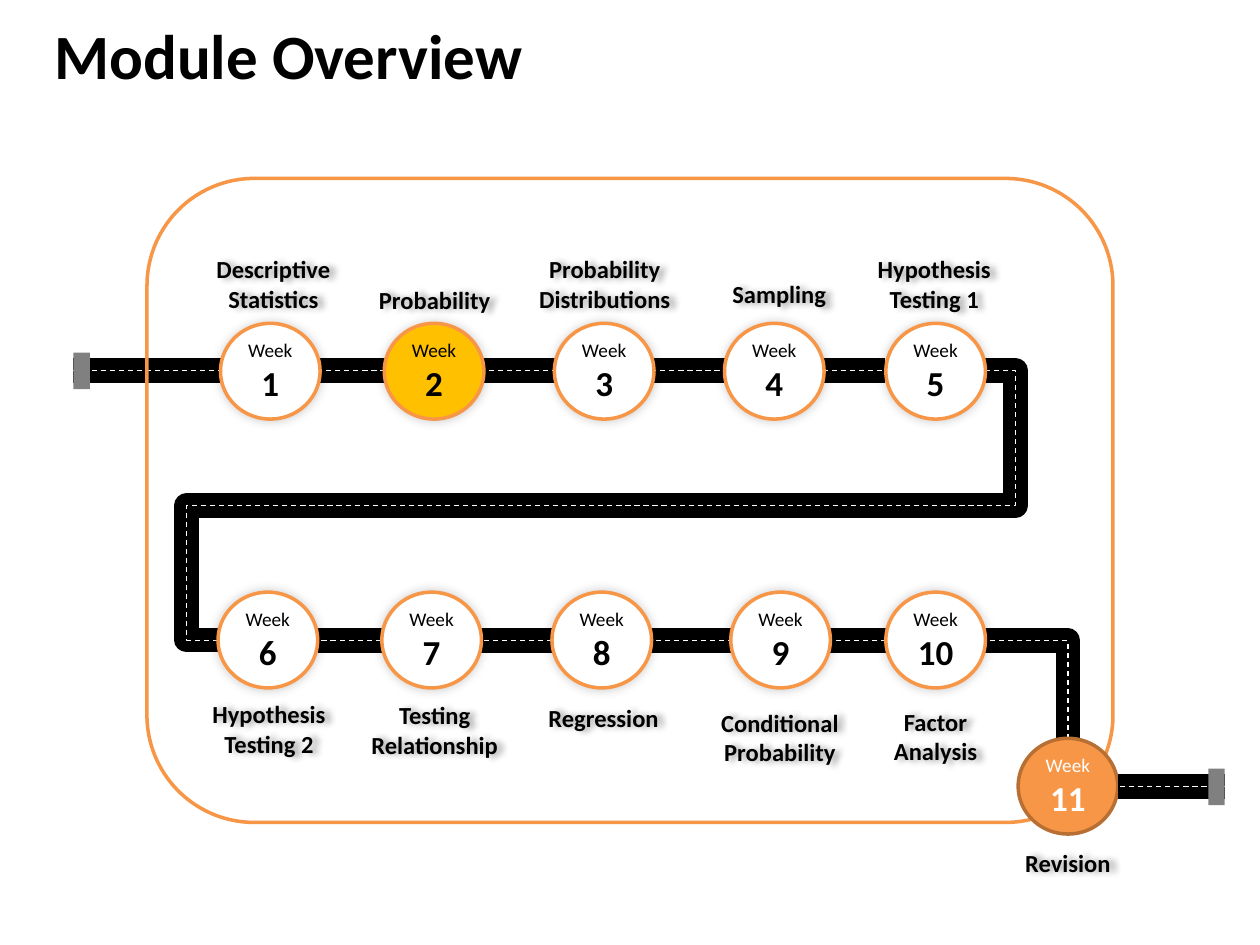
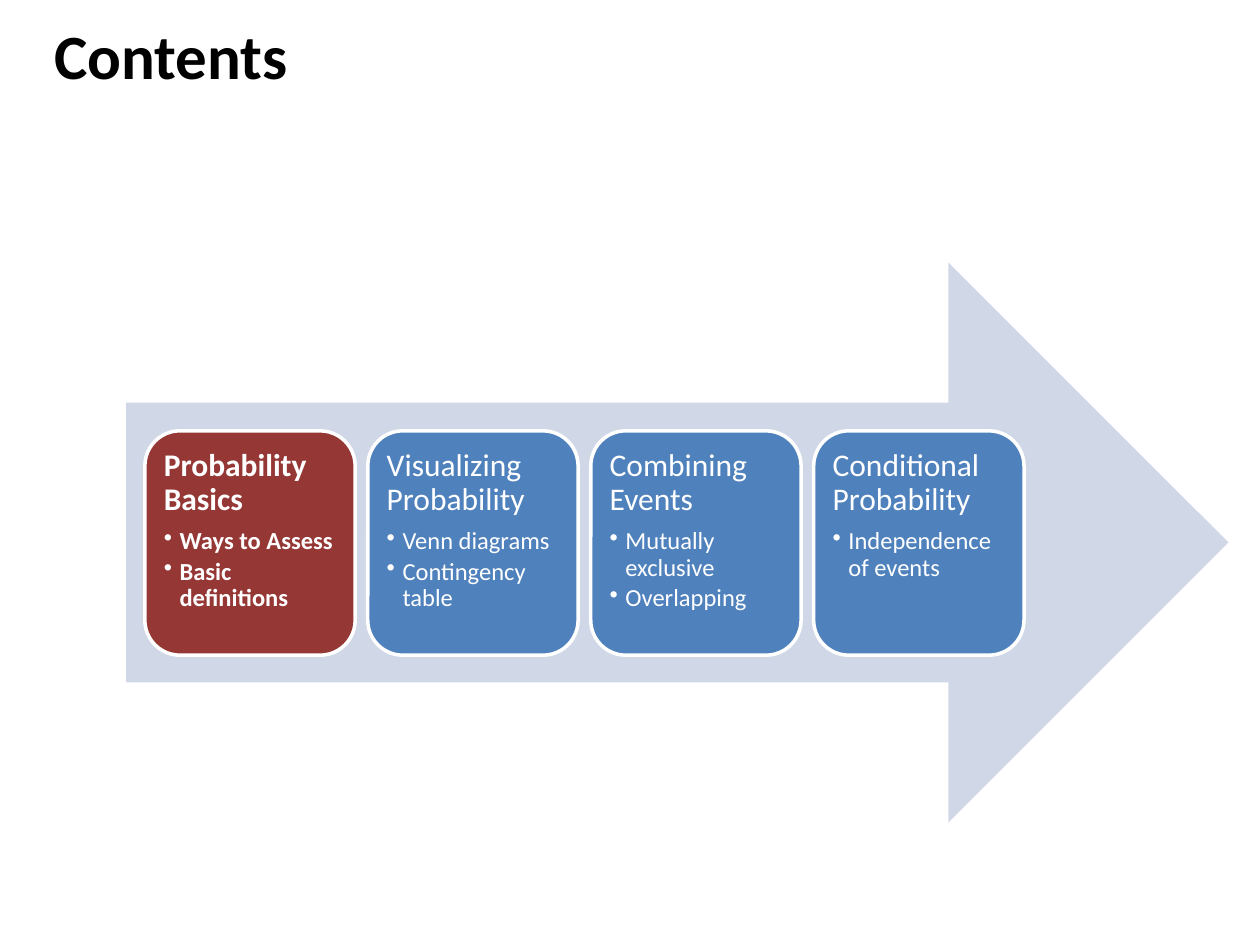
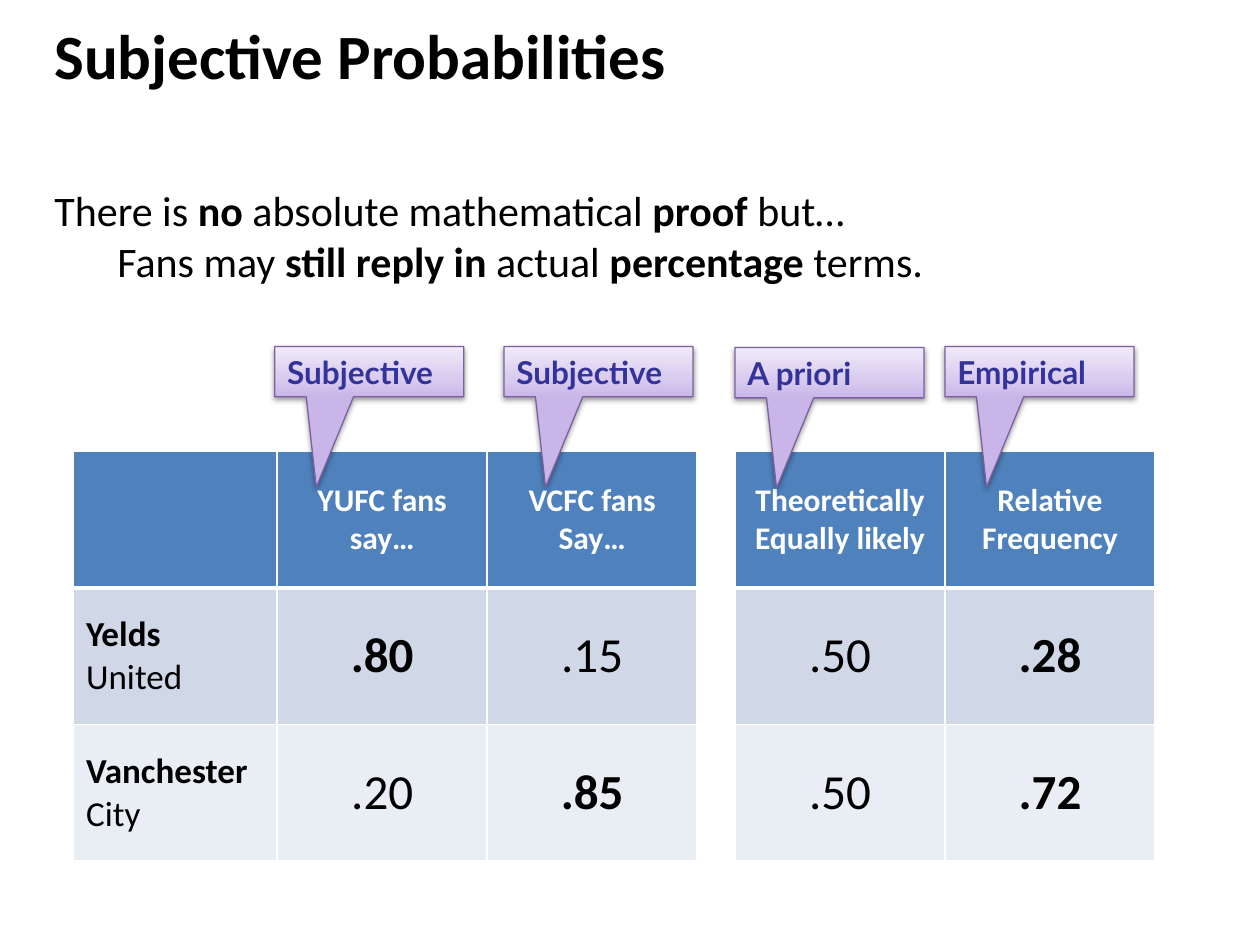
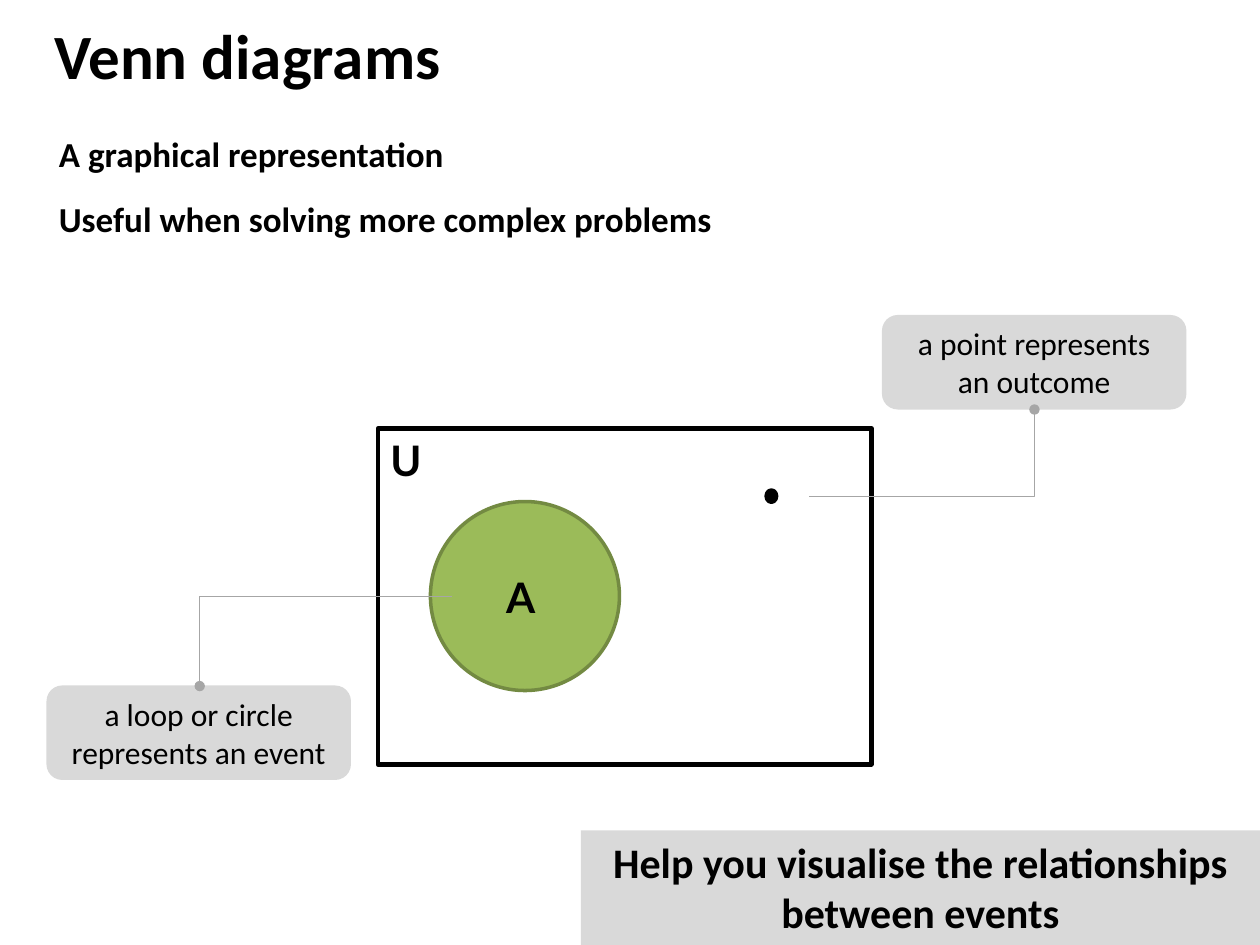
"""Build four slides of a statistics course on probability."""
from dataclasses import dataclass

from lxml import etree
from pptx import Presentation
from pptx import util as u
from pptx.dml.color import RGBColor
from pptx.enum import dml, shapes, text
from pptx.oxml.ns import qn

Kind = shapes.MSO_SHAPE
Align = text.PP_ALIGN
Anchor = text.MSO_ANCHOR


@dataclass(frozen=True)
class Theme:
    """Colours, fonts and type sizes shared by all slides."""
    black: str = "000000"
    white: str = "FFFFFF"
    orange: str = "F79646"
    orange_edge: str = "B76F34"
    current: str = "FFC000"
    road_end: str = "808080"
    blue: str = "4F81BD"
    pale_blue: str = "D0D8E8"
    paler_blue: str = "E9EDF4"
    red: str = "953735"
    green: str = "9BBB59"
    green_edge: str = "738A42"
    grey: str = "D9D9D9"
    leader: str = "A6A6A6"
    indigo: str = "333399"
    purple_edge: str = "7D60A0"
    purple_stops: tuple = ((0, "C9B5E8"), (35, "D8CBEE"), (100, "F0EAF9"))
    font: str = "Calibri"
    accent_font: str = "Lato"
    title: float = 36
    figure: float = 28
    lead: float = 24
    strong: float = 20
    body: float = 18
    small: float = 14
    tiny: float = 11


T = Theme()


@dataclass
class Para:
    """A paragraph whose content is a string or a list of (words, bold) pairs."""
    content: object
    size: float = T.body
    bold: bool = False
    color: str = T.black
    font: str = T.font
    align: object = Align.LEFT
    indent: float = 0
    bullet: bool = False
    line_spacing: float = None
    after: float = None


def rgb(color):
    """Turn a hex string into a colour."""
    return RGBColor.from_string(color)


def child(parent, tag, **attributes):
    """Append a DrawingML element."""
    values = {name: str(value) for name, value in attributes.items()}
    return etree.SubElement(parent, qn("a:" + tag), values)


def write(frame, paragraphs, anchor=Anchor.TOP, wrap=True, inset=None):
    """Fill a text frame paragraph by paragraph, run by run."""
    frame.word_wrap = wrap
    frame.vertical_anchor = anchor
    if inset is not None:
        frame.margin_left = frame.margin_right = u.Pt(inset)
        frame.margin_top = frame.margin_bottom = u.Pt(inset)
    for index, para in enumerate(paragraphs):
        line = frame.add_paragraph() if index else frame.paragraphs[0]
        line.alignment = para.align
        if para.line_spacing:
            line.line_spacing = para.line_spacing
        if para.after:
            line.space_after = u.Pt(para.after)
        if para.indent:
            props = line._p.get_or_add_pPr()
            props.set("marL", str(u.Pt(para.indent)))
            props.set("indent", str(u.Pt(-para.indent if para.bullet else 0)))
            if para.bullet:
                child(props, "buChar", char="•")
        content = para.content
        runs = [(content, para.bold)] if isinstance(content, str) else content
        for words, bold in runs:
            run = line.add_run()
            run.text = words
            run.font.name = para.font
            run.font.size = u.Pt(para.size)
            run.font.bold = bold
            run.font.color.rgb = rgb(para.color)


def textbox(slide, box, paragraphs, **options):
    """Add a text box."""
    holder = slide.shapes.add_textbox(*map(u.Pt, box))
    write(holder.text_frame, paragraphs, **options)
    return holder


def block(slide, kind, box, fill=None, edge=None, weight=2, paragraphs=(), **options):
    """Add a preset shape with optional fill, outline and text."""
    figure = slide.shapes.add_shape(kind, *map(u.Pt, box))
    figure.shadow.inherit = False
    if fill:
        figure.fill.solid()
        figure.fill.fore_color.rgb = rgb(fill)
    else:
        figure.fill.background()
    if edge:
        figure.line.color.rgb = rgb(edge)
        figure.line.width = u.Pt(weight)
    else:
        figure.line.fill.background()
    if paragraphs:
        write(figure.text_frame, paragraphs, **options)
    return figure


def cast_shadow(figure, alpha, blur, distance, angle):
    """Give a shape a soft black shadow."""
    figure.shadow.inherit = False
    effects = figure._element.spPr.find(qn("a:effectLst"))
    outer = child(effects, "outerShdw", blurRad=u.Pt(blur), dist=u.Pt(distance),
                  dir=angle * 60000, rotWithShape=0)
    child(child(outer, "srgbClr", val=T.black), "alpha", val=alpha * 1000)


def style_line(connector, color, weight, dashed=False):
    """Colour a connector and remove its shadow."""
    connector.line.color.rgb = rgb(color)
    connector.line.width = u.Pt(weight)
    if dashed:
        connector.line.dash_style = dml.MSO_LINE.DASH
    child(connector._element.spPr, "effectLst")


def straight(slide, start, end, color, weight, dashed=False):
    """Add a straight line."""
    connector = slide.shapes.add_connector(
        shapes.MSO_CONNECTOR.STRAIGHT, *map(u.Pt, (*start, *end)))
    style_line(connector, color, weight, dashed)


def bent(slide, bend, color, weight, dashed=False, oval_start=False):
    """Add an elbow line from a (box, rotation, flips, corners, adjustments) bend."""
    (left, top, width, height), rotation, flips, corners, adjustments = bend
    connector = slide.shapes.add_connector(
        shapes.MSO_CONNECTOR.ELBOW, *map(u.Pt, (left, top, left + width, top + height)))
    props = connector._element.spPr
    frame = props.find(qn("a:xfrm"))
    frame.set("rot", str(rotation * 60000))
    for flip in flips:
        frame.set("flip" + flip, "1")
    geometry = props.find(qn("a:prstGeom"))
    geometry.set("prst", f"bentConnector{corners + 1}")
    guides = geometry.find(qn("a:avLst"))
    if guides is None:
        guides = child(geometry, "avLst")
    for number, value in enumerate(adjustments, 1):
        child(guides, "gd", name=f"adj{number}", fmla=f"val {round(value * 100000)}")
    style_line(connector, color, weight, dashed)
    if oval_start:
        child(props.find(qn("a:ln")), "headEnd", type="oval")


def road(draw, slide, *course):
    """Draw a black road with a dashed centre line."""
    draw(slide, *course, T.black, 14)
    draw(slide, *course, T.white, 0.75, dashed=True)


def week(slide, number, left, top, fill=T.white, edge=T.orange, color=T.black):
    """Add the circle of one week."""
    lines = [Para("Week", T.tiny, color=color, align=Align.CENTER),
             Para(str(number), T.strong, True, color, align=Align.CENTER)]
    return block(slide, Kind.OVAL, (left, top, 56.9, 54.7), fill, edge,
                 paragraphs=lines, anchor=Anchor.MIDDLE)


def topic(slide, words, center, top, width):
    """Add the shaded topic label of one week."""
    lines = [Para(line, T.small, True, align=Align.CENTER) for line in words]
    height = 7.5 + 17 * len(lines)
    label = textbox(slide, (center - width / 2, top, width, height), lines, wrap=False)
    cast_shadow(label, 40, 4, 3, 0)


def card(slide, left, heading, points, current):
    """Add one content card with its heading and bullets."""
    top, width, height, pad = 246.2, 120.2, 128.2, 5.8
    block(slide, Kind.ROUNDED_RECTANGLE, (left, top, width, height),
          T.red if current else T.blue, T.white)
    shared = {"bold": current, "color": T.white, "line_spacing": 0.9}
    lines = [Para(heading, T.body, after=6.3, **shared)]
    lines += [Para(point, T.small, indent=9, bullet=True, after=2.1, **shared)
              for point in points]
    textbox(slide, (left + pad, top + pad, width - 2 * pad, height - 2 * pad),
            lines, inset=5)


def border(cell, top, bottom):
    """Draw white borders round a table cell."""
    props = cell._tc.get_or_add_tcPr()
    for side, weight in (("L", 1), ("R", 1), ("T", top), ("B", bottom)):
        edge = child(props, "ln" + side, w=u.Pt(weight))
        child(child(edge, "solidFill"), "srgbClr", val=T.white)


def table(slide, left, widths, rows):
    """Add a banded table; each cell is a list of paragraphs."""
    row_height = 78
    grid = slide.shapes.add_table(
        len(rows), len(widths), u.Pt(left), u.Pt(258),
        u.Pt(sum(widths)), u.Pt(row_height * len(rows))).table
    for column, width in zip(grid.columns, widths):
        column.width = u.Pt(width)
    for r, (row, fill) in enumerate(zip(rows, (T.blue, T.pale_blue, T.paler_blue))):
        grid.rows[r].height = u.Pt(row_height)
        for c, paragraphs in enumerate(row):
            cell = grid.cell(r, c)
            border(cell, 3 if r == 1 else 1, 3 if r == 0 else 1)
            cell.fill.solid()
            cell.fill.fore_color.rgb = rgb(fill)
            cell.vertical_anchor = Anchor.MIDDLE
            write(cell.text_frame, paragraphs, Anchor.MIDDLE)
            cell.vertical_anchor = Anchor.MIDDLE


def header(words):
    """Make the content of a header cell."""
    return [Para(words, T.body, True, T.white, align=Align.CENTER)]


def value(words, bold=False):
    """Make the content of a value cell."""
    return [Para(words, T.figure, bold, align=Align.CENTER)]


def club(town, suffix):
    """Make the content of a row heading."""
    return [Para(town, T.strong, True), Para(suffix, T.strong)]


def callout(slide, left, top, words):
    """Add a purple callout that points down to a column."""
    bubble = block(slide, Kind.RECTANGULAR_CALLOUT, (left, top, 108, 28.8),
                   T.white, T.purple_edge, 0.75,
                   [Para(words, T.body, True, T.indigo, T.accent_font)])
    bubble.adjustments[0] = -0.28
    bubble.adjustments[1] = 2.29
    bubble.fill.gradient()
    bubble.fill.gradient_angle = 90
    stops = bubble._element.spPr.find(qn("a:gradFill")).find(qn("a:gsLst"))
    for stop in list(stops):
        stops.remove(stop)
    for position, color in T.purple_stops:
        child(child(stops, "gs", pos=position * 1000), "srgbClr", val=color)
    cast_shadow(bubble, 38, 3.1, 1.6, 90)


def explanation(slide, left, top, words):
    """Add a grey note that explains a part of the diagram."""
    block(slide, Kind.ROUNDED_RECTANGLE, (left, top, 174, 54), T.grey,
          paragraphs=[Para(words, T.body, align=Align.CENTER)], anchor=Anchor.MIDDLE)


def titled_slide(deck, title):
    """Add a blank slide with the shared title."""
    slide = deck.slides.add_slide(deck.slide_layouts[6])
    textbox(slide, (24, 6, 648, 68), [Para(title, T.title, True)])
    return slide


def overview(deck):
    """Build the road map of the module."""
    slide = titled_slide(deck, "Module Overview")
    first_row, second_row = 184.8, 338.4
    road(straight, slide, (42, 211.7), (506, 211.7))
    block(slide, Kind.ROUNDED_RECTANGLE, (84, 102, 552, 368), edge=T.orange)
    block(slide, Kind.RECTANGLE, (42, 201.5, 9.4, 20.9), T.road_end)
    road(bent, slide, ((367.9, 180, 56.2, 428.4), 270, "V", 1, ()))
    road(bent, slide, ((124.6, 211.7, 437.8, 154.1), 180, "H", 4, (-0.041, 0.5, 1.041)))
    stops = (
        (126, ("Descriptive", "Statistics"), 156.2, 141.8, 80.6),
        (219.6, ("Probability",), 248.4, 159.1, 79.2),
        (316.8, ("Probability", "Distributions"), 345.6, 141.8, 90.7),
        (414, ("Sampling",), 445.3, 156.2, 68.4),
        (506.2, ("Hypothesis", "Testing 1"), 533.9, 141.8, 79.9),
        (124.6, ("Hypothesis", "Testing 2"), 153.7, 396, 79.9),
        (218.2, ("Testing", "Relationship"), 248.4, 396.7, 87.8),
        (315.4, ("Regression",), 344.9, 398.2, 77.8),
        (417.6, ("Conditional", "Probability"), 445.7, 401, 82.1),
        (506.2, ("Factor", "Analysis"), 534.6, 400.3, 71.3),
    )
    for number, (left, words, *place) in enumerate(stops, 1):
        topic(slide, words, *place)
        circle = week(slide, number, left, first_row if number <= 5 else second_row,
                      T.current if number == 2 else T.white)
        cast_shadow(circle, 20, 6, 0, 315)
    week(slide, 11, 581.8, 421.9, T.orange, T.orange_edge, T.white)
    topic(slide, ("Revision",), 610.2, 481, 64.1)
    road(straight, slide, (699.8, 449.3), (638.6, 449.3))
    block(slide, Kind.RECTANGLE, (690.5, 439.2, 9.4, 20.9), T.road_end)


def contents(deck):
    """Build the arrow of content cards."""
    slide = titled_slide(deck, "Contents")
    block(slide, Kind.RIGHT_ARROW, (72, 150, 630, 320), T.pale_blue)
    cards = (
        ("Probability Basics", ("Ways to Assess", "Basic definitions")),
        ("Visualizing Probability", ("Venn diagrams", "Contingency table")),
        ("Combining Events", ("Mutually exclusive", "Overlapping")),
        ("Conditional Probability", ("Independence of events",)),
    )
    for index, (heading, points) in enumerate(cards):
        card(slide, 82.8 + 127.4 * index, heading, points, current=index == 0)


def subjective(deck):
    """Build the comparison of probability types."""
    slide = titled_slide(deck, "Subjective Probabilities")
    proof = [("There is ", False), ("no ", True), ("absolute mathematical", False),
             (" proof ", True), ("but…", False)]
    reply = [("Fans may ", False), ("still reply in ", True), ("actual", False),
             (" percentage ", True), ("terms.", False)]
    textbox(slide, (24, 102, 654, 65.4),
            [Para(proof, T.lead), Para(reply, T.lead, indent=36)])
    table(slide, 42, (116.4, 120, 120), (
        ([], header("YUFC fans say…"), header("VCFC fans Say…")),
        (club("Yelds", "United"), value(".80", True), value(".15")),
        (club("Vanchester", "City"), value(".20"), value(".85", True)),
    ))
    table(slide, 420, (120, 120), (
        (header("Theoretically Equally likely"), header("Relative Frequency")),
        (value(".50"), value(".28", True)),
        (value(".50"), value(".72", True)),
    ))
    for left, top, words in ((157, 198, "Subjective"), (288, 198, "Subjective"),
                             (540, 198, "Empirical"), (420, 198.6, "A priori")):
        callout(slide, left, top, words)


def venn(deck):
    """Build the annotated Venn diagram."""
    slide = titled_slide(deck, "Venn diagrams")
    textbox(slide, (26.6, 72, 411, 31.5),
            [Para("A graphical representation", T.strong, True)])
    textbox(slide, (26.6, 109.4, 453.6, 31.5),
            [Para("Useful when solving more complex problems", T.strong, True)])
    block(slide, Kind.RECTANGLE, (216, 244.8, 282, 192), edge=T.black, weight=2.5,
          paragraphs=[Para("U", T.lead, True, font=T.accent_font)], wrap=False)
    block(slide, Kind.FLOWCHART_CONNECTOR, (437.8, 280, 6, 7), T.black, T.black)
    explanation(slide, 504, 180, "a point represents an outcome")
    bent(slide, ((501.8, 194.4, 49.7, 128.9), 90, "", 1, ()),
         T.leader, 0.75, oval_start=True)
    block(slide, Kind.OVAL, (246, 286.6, 108, 108), T.green, T.green_edge)
    textbox(slide, (282.2, 323.3, 32.4, 36),
            [Para("A", T.lead, True, font=T.accent_font)], wrap=False)
    explanation(slide, 26.6, 391.7, "a loop or circle represents an event")
    bent(slide, ((160.6, 294.5, 51.1, 144), 90, "HV", 1, ()),
         T.leader, 0.75, oval_start=True)
    block(slide, Kind.RECTANGLE, (332, 474.5, 388, 65.5), T.grey,
          paragraphs=[Para("Help you visualise the relationships between events",
                           T.lead, True, align=Align.CENTER)])


def main():
    """Build and save the deck."""
    deck = Presentation()
    deck.slide_width, deck.slide_height = u.Pt(720), u.Pt(540)
    for build in (overview, contents, subjective, venn):
        build(deck)
    deck.save("out.pptx")


if __name__ == "__main__":
    main()
